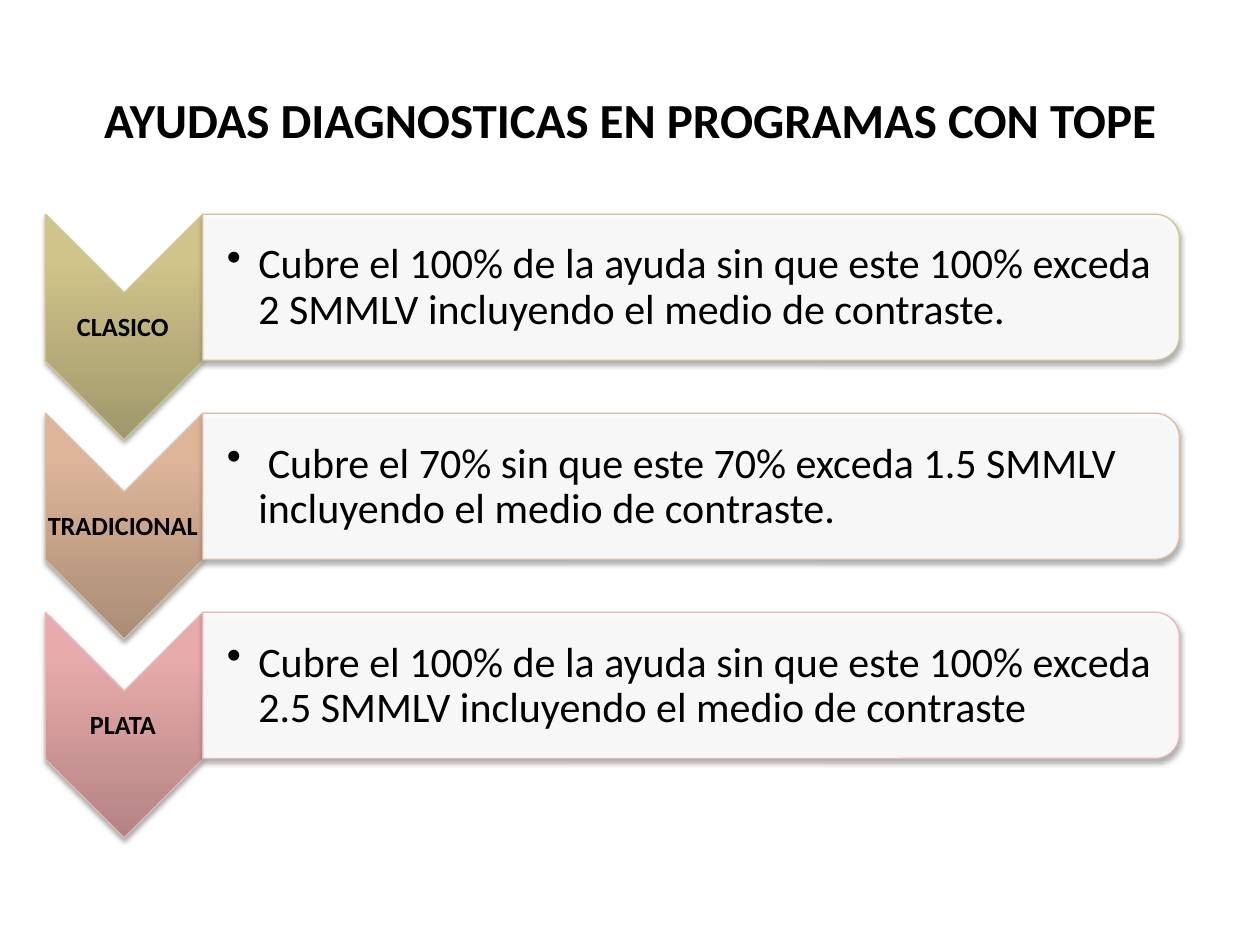
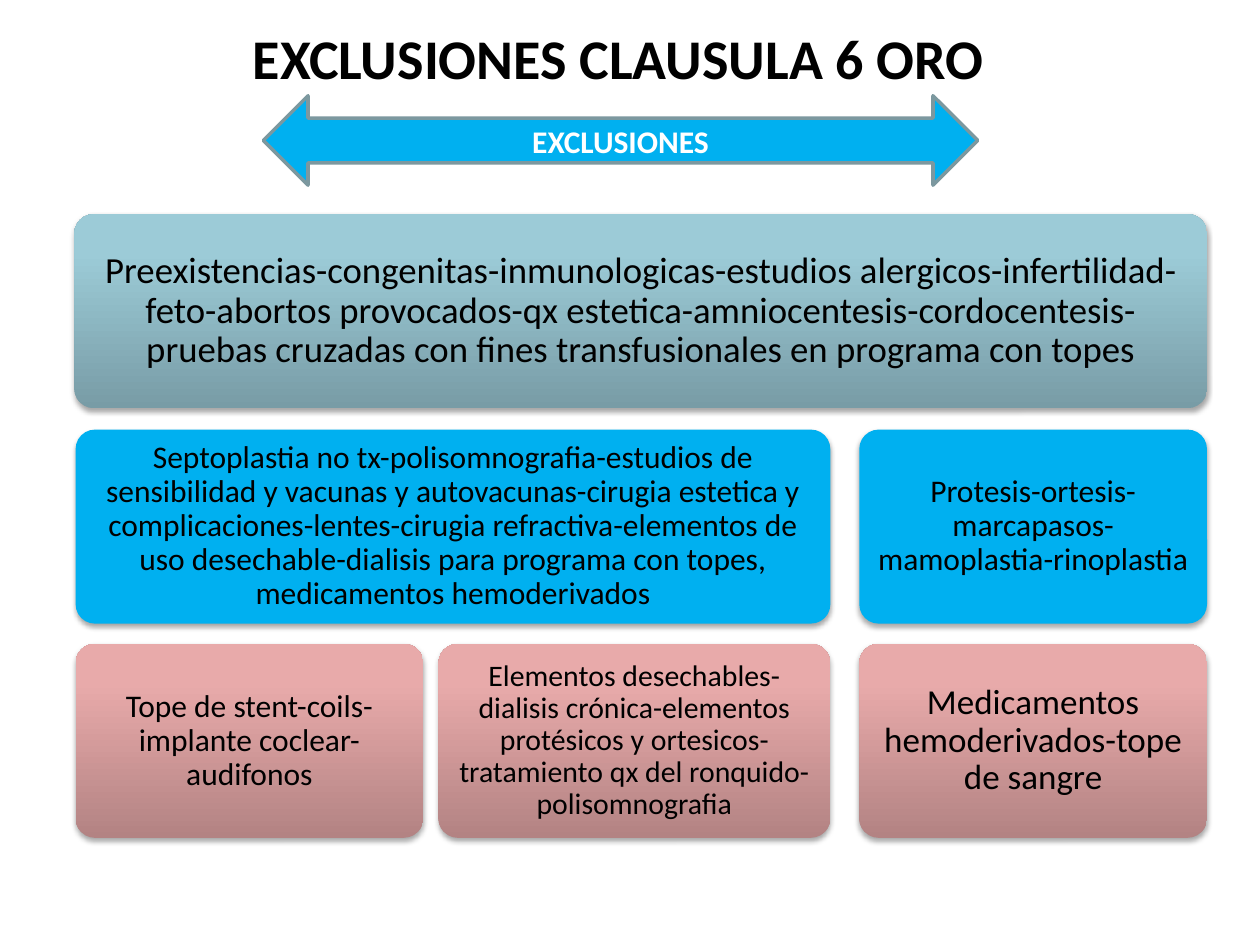
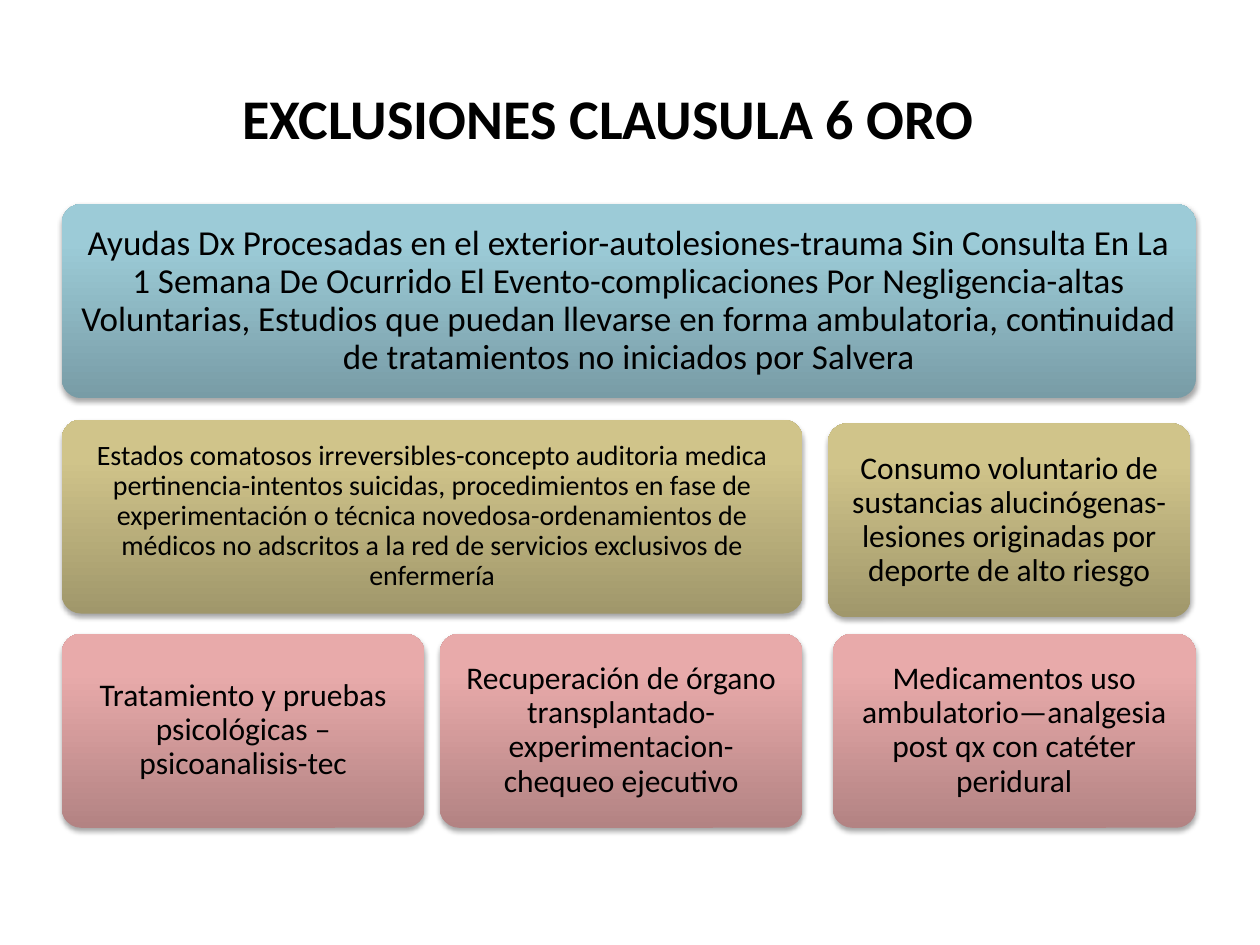
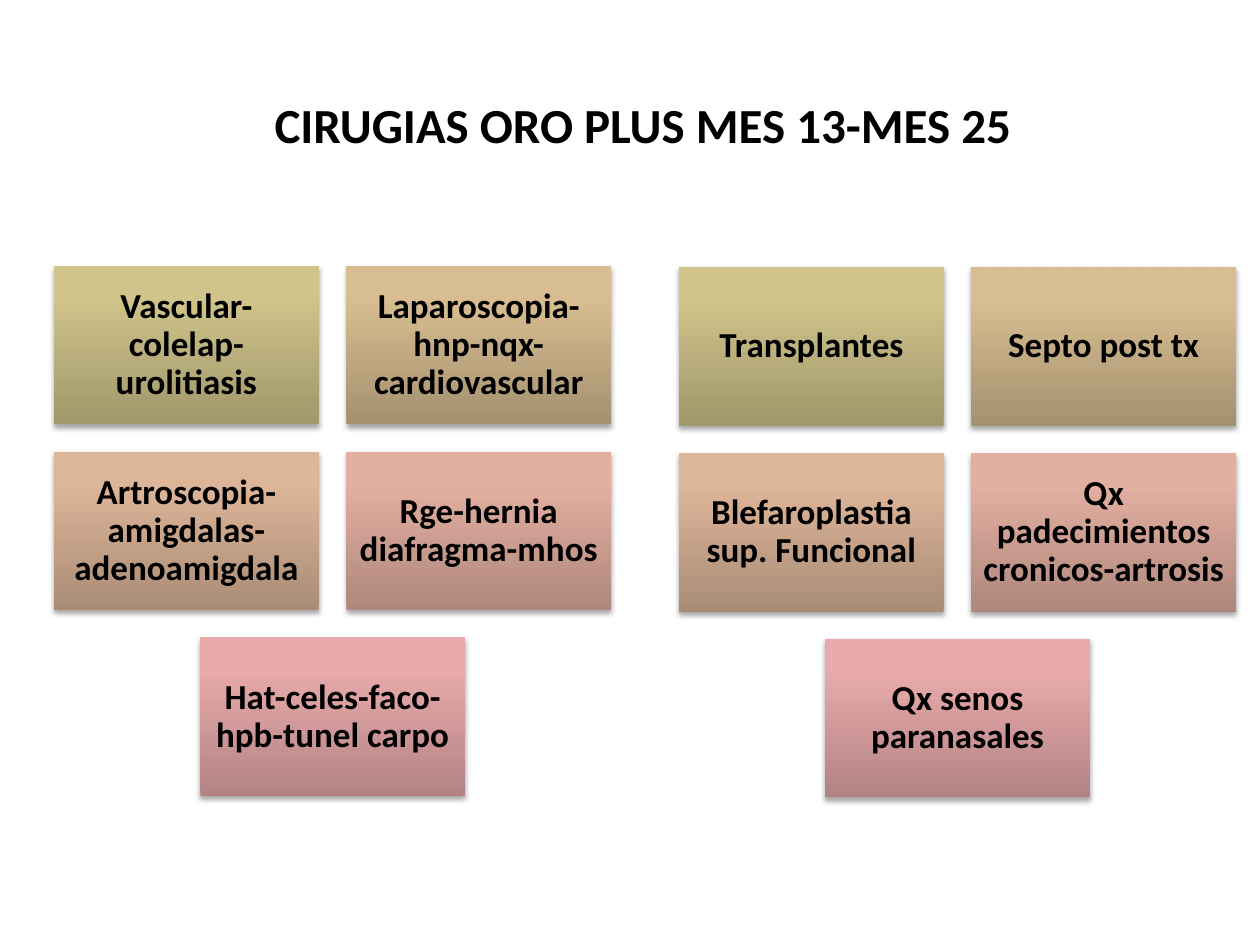
from copy import deepcopy

from lxml import etree
from pptx import Presentation
from pptx.dml.color import RGBColor
from pptx.enum.shapes import MSO_SHAPE
from pptx.enum.text import MSO_ANCHOR, PP_ALIGN
from pptx.oxml.ns import qn
from pptx.util import Inches, Pt

CHEVRON = MSO_SHAPE.CHEVRON
BAR = MSO_SHAPE.ROUND_2_SAME_RECTANGLE
ROUND = MSO_SHAPE.ROUNDED_RECTANGLE
RECT = MSO_SHAPE.RECTANGLE
ARROW = MSO_SHAPE.LEFT_RIGHT_ARROW
MIDDLE = MSO_ANCHOR.MIDDLE
LEFT, CENTER = PP_ALIGN.LEFT, PP_ALIGN.CENTER

BLACK = RGBColor(0x00, 0x00, 0x00)
WHITE = RGBColor(0xFF, 0xFF, 0xFF)
BLUE = RGBColor(0x00, 0xB0, 0xF0)
STEEL = RGBColor(0x7C, 0x98, 0x9F)
OLIVE_EDGE = RGBColor(0xCE, 0xC5, 0x97)
PEACH_EDGE = RGBColor(0xDC, 0xBD, 0xA6)
PINK_EDGE = RGBColor(0xE8, 0xB7, 0xB7)

STOPS = (0, 0.8, 1)
OLIVE = (RGBColor(0xA0, 0x97, 0x6B), RGBColor(0xD0, 0xC4, 0x8A), RGBColor(0xD2, 0xC6, 0x8A))
SAND = (RGBColor(0xA5, 0x91, 0x70), RGBColor(0xD7, 0xBD, 0x91), RGBColor(0xD9, 0xBE, 0x91))
PEACH = (RGBColor(0xAA, 0x8C, 0x76), RGBColor(0xDD, 0xB5, 0x99), RGBColor(0xE0, 0xB6, 0x98))
CORAL = (RGBColor(0xAF, 0x87, 0x7C), RGBColor(0xE3, 0xAF, 0xA1), RGBColor(0xE5, 0xAF, 0xA1))
PINK = (RGBColor(0xB3, 0x83, 0x83), RGBColor(0xE8, 0xAA, 0xAA), RGBColor(0xEA, 0xAA, 0xAA))
TEAL = (RGBColor(0x78, 0x9C, 0xA6), RGBColor(0x9C, 0xCB, 0xD7), RGBColor(0x9C, 0xCC, 0xD9))


def write(frame, text, size=20, bold=False, color=BLACK, align=CENTER,
          spacing=0.9, inset=(0.08, 0.08, 0.08, 0.08), bullet=False):
    frame.word_wrap = True
    frame.vertical_anchor = MIDDLE
    (frame.margin_left, frame.margin_top,
     frame.margin_right, frame.margin_bottom) = map(Inches, inset)
    para = frame.paragraphs[0]
    para.alignment = align
    para.line_spacing = spacing
    if bullet:
        props = para._p.get_or_add_pPr()
        props.set("marL", str(Inches(0.25)))
        props.set("indent", str(Inches(-0.25)))
        etree.SubElement(props, qn("a:buChar"), char="•")
    run = para.add_run()
    run.text = text
    font = run.font
    font.name, font.size, font.bold = "Calibri", Pt(size), bold
    font.color.rgb = color


class Deck:
    def __init__(self):
        self.show = Presentation()
        self.show.slide_width = Inches(10)
        self.show.slide_height = Inches(7.5)
        self.slide = None

    def page(self, title, box, size):
        self.slide = self.show.slides.add_slide(self.show.slide_layouts[6])
        self.text(title, box, size=size, bold=True, spacing=1,
                  inset=(0.1, 0.05, 0.1, 0.05))

    def text(self, text, box, **style):
        area = self.slide.shapes.add_textbox(*map(Inches, box))
        write(area.text_frame, text, **style)

    def shape(self, kind, box, fill, edge=None, width=0.75, turn=False,
              shade=True, alpha=None):
        left, top, wide, high = box
        if turn:
            shift = (wide - high) / 2
            left, top, wide, high = left + shift, top - shift, high, wide
        item = self.slide.shapes.add_shape(
            kind, *map(Inches, (left, top, wide, high)))
        item.rotation = 90 if turn else 0
        if isinstance(fill, RGBColor):
            item.fill.solid()
            item.fill.fore_color.rgb = fill
        else:
            self.blend(item, fill)
        if alpha:
            tone = item._element.spPr.find(".//" + qn("a:srgbClr"))
            etree.SubElement(tone, qn("a:alpha"), val=str(alpha * 1000))
        if edge is None:
            item.line.fill.background()
        else:
            item.line.color.rgb = edge
            item.line.width = Pt(width)
        item.shadow.inherit = False
        if shade:
            self.shade(item)
        return item

    def blend(self, item, tones):
        item.fill.gradient()
        item.fill.gradient_angle = 90
        grad = item._element.spPr.find(qn("a:gradFill"))
        grad.set("rotWithShape", "0")
        stops = grad.find(qn("a:gsLst"))
        stops.append(deepcopy(stops[0]))
        for stop, place, tone in zip(item.fill.gradient_stops, STOPS, tones):
            stop.position = place
            stop.color.rgb = tone

    def shade(self, item):
        effect = item._element.spPr.find(qn("a:effectLst"))
        outer = etree.SubElement(
            effect, qn("a:outerShdw"), blurRad=str(Pt(3.1)),
            dist=str(Pt(1.8)), dir="5400000", rotWithShape="0")
        tone = etree.SubElement(outer, qn("a:srgbClr"), val="000000")
        etree.SubElement(tone, qn("a:alpha"), val="35000")

    def step(self, top, name, text, fill, edge):
        self.shape(CHEVRON, (0.36, top, 1.25, 1.79), fill, edge, turn=True)
        self.text(name, (0.35, top + 0.63, 1.25, 0.54), size=15, bold=True,
                  inset=(0.01,) * 4)
        self.shape(BAR, (1.61, top, 7.75, 1.16), WHITE, edge, turn=True, alpha=90)
        self.text(text, (1.61, top + 0.06, 7.69, 1.05), size=24, align=LEFT,
                  inset=(0.19, 0.02, 0.02, 0.02), bullet=True)

    def card(self, box, text, fill, size=18, inset=0.07):
        item = self.shape(ROUND, box, fill)
        item.adjustments[0] = 0.1
        write(item.text_frame, text, size=size, inset=(inset,) * 4)

    def tile(self, box, text, fill):
        item = self.shape(RECT, box, fill)
        write(item.text_frame, text, bold=True)

    def cluster(self, left, top, names):
        cells = ((0, 0), (1, 0), (0, 1), (1, 1), (0.5, 2))
        fills = (OLIVE, SAND, PEACH, CORAL, PINK)
        for (col, row), name, fill in zip(cells, names, fills):
            box = (left + 2.32 * col, top + 1.475 * row, 2.1, 1.26)
            self.tile(box, name, fill)


def main():
    deck = Deck()

    deck.page("AYUDAS DIAGNOSTICAS EN PROGRAMAS CON TOPE", (0.59, 0.66, 8.82, 0.57), 28)
    steps = (
        ("CLASICO", "Cubre el 100% de la ayuda sin que este 100% exceda 2 SMMLV "
         "incluyendo el medio de contraste.", OLIVE, OLIVE_EDGE),
        ("TRADICIONAL", " Cubre el 70% sin que este 70% exceda 1.5 SMMLV "
         "incluyendo el medio de contraste.", PEACH, PEACH_EDGE),
        ("PLATA", "Cubre el 100% de la ayuda sin que este 100% exceda 2.5 SMMLV "
         "incluyendo el medio de contraste", PINK, PINK_EDGE),
    )
    for row, parts in enumerate(steps):
        deck.step(1.7 + 1.58 * row, *parts)

    clause = "EXCLUSIONES CLAUSULA 6 ORO"
    deck.page(clause, (0.41, 0.13, 9, 0.64), 32)
    deck.card((0.59, 1.7, 8.99, 1.54),
              "Preexistencias-congenitas-inmunologicas-estudios alergicos-infertilidad-"
              "feto-abortos provocados-qx estetica-amniocentesis-cordocentesis-pruebas "
              "cruzadas con fines transfusionales en programa con topes",
              TEAL, size=21, inset=0.09)
    deck.card((0.6, 3.41, 5.99, 1.54),
              "Septoplastia no tx-polisomnografia-estudios de sensibilidad y vacunas y "
              "autovacunas-cirugia estetica y complicaciones-lentes-cirugia "
              "refractiva-elementos de uso desechable-dialisis para programa con topes, "
              "medicamentos hemoderivados", BLUE)
    deck.card((6.82, 3.41, 2.76, 1.54),
              "Protesis-ortesis-marcapasos-mamoplastia-rinoplastia", BLUE)
    deck.card((0.6, 5.11, 2.76, 1.54),
              "Tope de stent-coils-implante coclear-audifonos", PINK)
    deck.card((3.48, 5.11, 3.11, 1.54),
              "Elementos desechables-dialisis crónica-elementos protésicos y "
              "ortesicos-tratamiento qx del ronquido-polisomnografia", PINK, size=17)
    deck.card((6.82, 5.11, 2.76, 1.54),
              "Medicamentos hemoderivados-tope de sangre", PINK, size=20, inset=0.08)
    arrow = deck.shape(ARROW, (2.09, 0.76, 5.67, 0.71), BLUE, STEEL, 2, shade=False)
    write(arrow.text_frame, "EXCLUSIONES", size=18, bold=True, color=WHITE, spacing=1)

    deck.page(clause, (0.33, 0.61, 9, 0.64), 32)
    deck.card((0.49, 1.62, 9, 1.54),
              "Ayudas Dx Procesadas en el exterior-autolesiones-trauma Sin Consulta En La "
              "1 Semana De Ocurrido El Evento-complicaciones Por Negligencia-altas "
              "Voluntarias, Estudios que puedan llevarse en forma ambulatoria, "
              "continuidad de tratamientos no iniciados por Salvera",
              TEAL, size=20, inset=0.08)
    deck.card((0.49, 3.33, 5.88, 1.54),
              "Estados comatosos irreversibles-concepto auditoria medica "
              "pertinencia-intentos suicidas, procedimientos en fase de experimentación "
              "o técnica novedosa-ordenamientos de médicos no adscritos a la red de "
              "servicios exclusivos de enfermería", OLIVE, size=16)
    deck.card((6.57, 3.36, 2.88, 1.54),
              "Consumo voluntario de sustancias alucinógenas-lesiones originadas por "
              "deporte de alto riesgo", OLIVE)
    lower = (
        (0.49, "Tratamiento y pruebas psicológicas –psicoanalisis-tec"),
        (3.49, "Recuperación de órgano transplantado-experimentacion-chequeo ejecutivo"),
        (6.61, "Medicamentos uso ambulatorio—analgesia post qx con catéter peridural"),
    )
    for left, text in lower:
        deck.card((left, 5.03, 2.88, 1.54), text, PINK)

    deck.page("CIRUGIAS ORO PLUS MES 13-MES 25", (0.24, 0.7, 9.72, 0.57), 28)
    deck.cluster(0.43, 2.11, (
        "Vascular-colelap-urolitiasis", "Laparoscopia-hnp-nqx-cardiovascular",
        "Artroscopia-amigdalas-adenoamigdala", "Rge-hernia diafragma-mhos",
        "Hat-celes-faco-hpb-tunel carpo"))
    deck.cluster(5.39, 2.12, (
        "Transplantes", "Septo post tx", "Blefaroplastia sup. Funcional",
        "Qx padecimientos cronicos-artrosis", "Qx senos paranasales"))

    deck.show.save("out.pptx")


if __name__ == "__main__":
    main()
